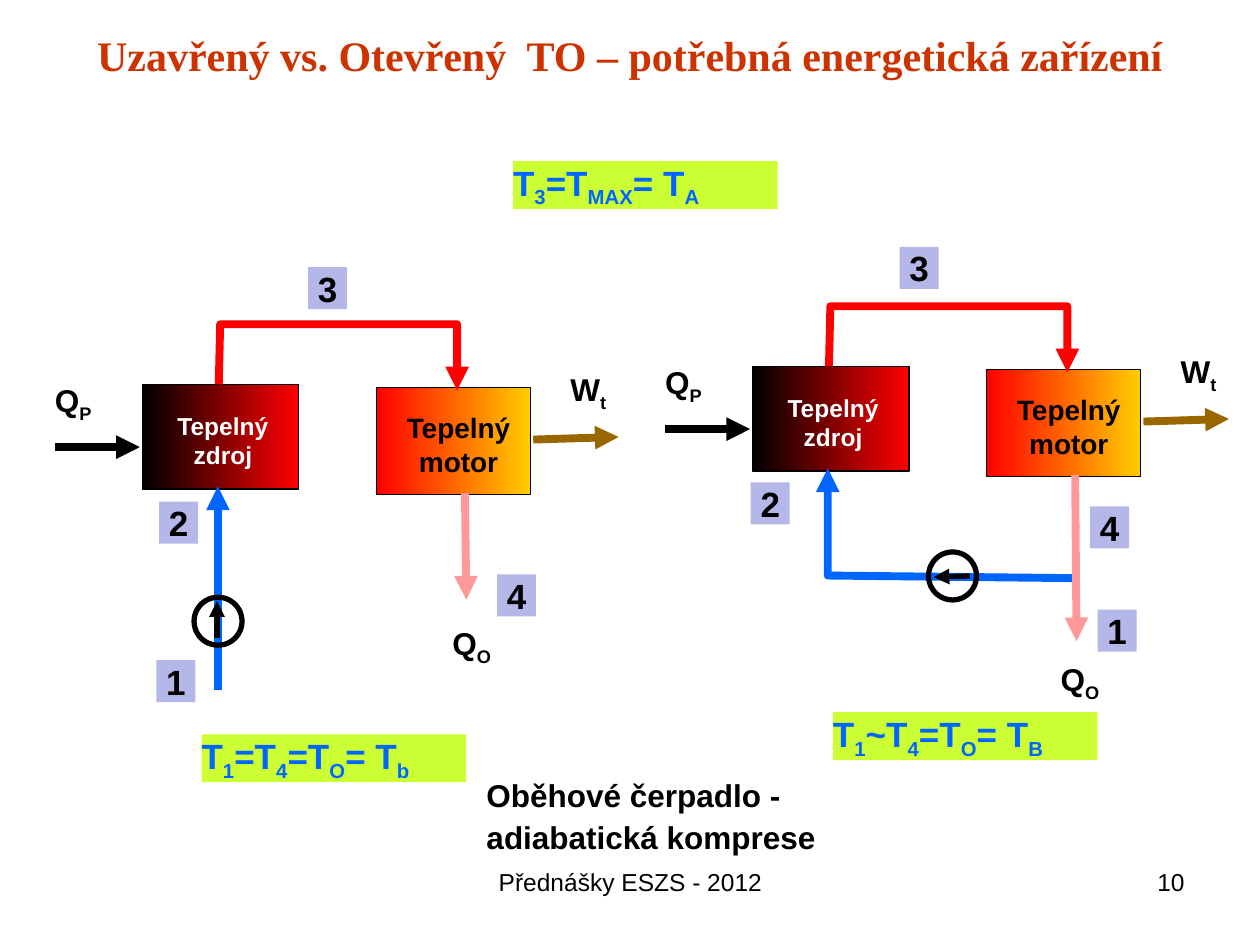
from lxml import etree
from pptx import Presentation
from pptx.dml.color import RGBColor
from pptx.enum.shapes import MSO_CONNECTOR, MSO_SHAPE
from pptx.enum.text import MSO_ANCHOR, PP_ALIGN
from pptx.oxml.ns import qn
from pptx.util import Pt

LEFT, CENTER, RIGHT = PP_ALIGN.LEFT, PP_ALIGN.CENTER, PP_ALIGN.RIGHT
TOP, MIDDLE = MSO_ANCHOR.TOP, MSO_ANCHOR.MIDDLE
RECT, OVAL = MSO_SHAPE.RECTANGLE, MSO_SHAPE.OVAL
STRAIGHT = MSO_CONNECTOR.STRAIGHT

COLORS = {
    "title": "CC3300", "black": "000000", "white": "FFFFFF", "red": "FF0000",
    "yellow": "FFCC00", "blue": "0066FF", "pink": "FF9999", "brown": "996600",
    "lime": "CCFF33", "lilac": "B5B7E9",
}
TEXT_INSETS = (7.2, 3.6)


def rgb(name):
    return RGBColor.from_string(COLORS[name])


def write(sp, lines, size, color="black", bold=True, align=LEFT, anchor=TOP,
          insets=(0, 0), wrap=True, font="Arial", space_before=0):
    """Fill a shape with lines; in each, '_' switches subscript on and off."""
    tf = sp.text_frame
    tf.word_wrap = wrap
    tf.vertical_anchor = anchor
    tf.margin_left = tf.margin_right = Pt(insets[0])
    tf.margin_top = tf.margin_bottom = Pt(insets[1])
    for i, line in enumerate(lines):
        p = tf.add_paragraph() if i else tf.paragraphs[0]
        p.alignment = align
        p.space_before = Pt(space_before if i else 0)
        p.font.name, p.font.size, p.font.bold = font, Pt(size), bold
        p.font.color.rgb = rgb(color)
        for j, part in enumerate(line.split("_")):
            if part:
                r = p.add_run()
                r.text = part
                if j % 2:
                    r._r.get_or_add_rPr().set("baseline", "-25000")


def add_text(slide, x, y, w, h, lines, size, **style):
    sp = slide.shapes.add_textbox(Pt(x), Pt(y), Pt(w), Pt(h))
    write(sp, lines, size, **style)


def add_box(slide, x, y, w, h, fill=None, line=None, width=0.75, kind=RECT):
    sp = slide.shapes.add_shape(kind, Pt(x), Pt(y), Pt(w), Pt(h))
    sp.shadow.inherit = False
    if fill is None:
        sp.fill.background()
    elif isinstance(fill, tuple):
        sp.fill.gradient()
        sp.fill.gradient_angle = 0
        for stop, color in zip(sp.fill.gradient_stops, fill):
            stop.color.rgb = rgb(color)
    else:
        sp.fill.solid()
        sp.fill.fore_color.rgb = rgb(fill)
    if line:
        sp.line.color.rgb = rgb(line)
        sp.line.width = Pt(width)
    else:
        sp.line.fill.background()
    return sp


def add_arrow(slide, points, color, width=4.5):
    """Arrow through the points: a connector for two, an open outline for more."""
    pts = [(Pt(x), Pt(y)) for x, y in points]
    if len(pts) == 2:
        sp = slide.shapes.add_connector(STRAIGHT, *pts[0], *pts[1])
    else:
        builder = slide.shapes.build_freeform(*pts[0], scale=1.0)
        builder.add_line_segments(pts[1:], close=False)
        sp = builder.convert_to_shape()
        sp.fill.background()
    sp.line.color.rgb = rgb(color)
    sp.line.width = Pt(width)
    ln = sp.line._get_or_add_ln()
    etree.SubElement(ln, qn("a:round"))
    etree.SubElement(ln, qn("a:tailEnd"), type="triangle")
    etree.SubElement(sp._element.spPr, qn("a:effectLst"))


def add_formula(slide, x, y, formula):
    sp = add_box(slide, x, y, 151.2, 27.4, "lime")
    write(sp, [formula], 20, color="blue")


def add_pump(slide, x, y, flow):
    add_box(slide, x, y, 27.4, 27.4, line="black", width=3, kind=OVAL)
    add_arrow(slide, flow, "black", 3)


def add_circuit(slide, x, y, feed, outlet_end, heat_out, states, pump, flow):
    """Heat source and engine; every place is relative to the source's corner."""
    def at(*points):
        return [(x + dx, y + dy) for dx, dy in points]

    add_arrow(slide, at((223.2, 31.5), (272, 30)), "brown")
    add_arrow(slide, at((-50, 35.8), (-1.6, 35.8)), "black")
    add_box(slide, x, y, 89.3, 59.8, ("black", "red"), "black")
    add_text(slide, x + 18.5, y + 15, 54.7, 33.8, ["Tepelný", "zdroj"], 14,
             color="white", align=CENTER)
    add_box(slide, x + 133.7, y + 1.8, 87.8, 61.2, ("red", "yellow"), "black")
    add_text(slide, x + 150.3, y + 15, 60.5, 38.2, ["Tepelný", "motor"], 16,
             align=CENTER, wrap=False)
    add_arrow(slide, at(*feed), "blue")
    add_arrow(slide, at((43.5, 0), (44.3, -34.4), (179.7, -34.4), (179.7, 3.4)),
              "red")
    add_arrow(slide, at((184.2, 62), outlet_end), "pink")

    labels = [("Q_P_", (-57.2, -5.5), 46.8), ("Q_O_", heat_out, 40),
              ("W_t_", (237.4, -11.8), 40)]
    for label, (dx, dy), w in labels:
        add_text(slide, x + dx, y + dy, w, 31.7, [label], 18, insets=TEXT_INSETS)
    for number, (dx, dy) in enumerate(states, start=1):
        sp = add_box(slide, x + dx, y + dy, 22.3, 24, "lilac")
        write(sp, [str(number)], 20, align=CENTER)
    add_pump(slide, x + pump[0], y + pump[1], at(*flow))


def add_title(slide, x, y, w, h, text):
    sp = slide.shapes.title
    sp.left, sp.top, sp.width, sp.height = Pt(x), Pt(y), Pt(w), Pt(h)
    write(sp, [text], 24, color="title", align=CENTER, anchor=MIDDLE,
          insets=TEXT_INSETS, font="Times New Roman")


def add_footer(slide, y, h):
    for x, w, text, align in [(246.2, 228.2, "Přednášky ESZS - 2012", CENTER),
                              (516.2, 167.8, "10", RIGHT)]:
        add_text(slide, x, y, w, h, [text], 14, bold=False, align=align,
                 insets=TEXT_INSETS)


def main():
    prs = Presentation()
    prs.slide_width, prs.slide_height = Pt(720), Pt(540)
    slide = prs.slides.add_slide(prs.slide_layouts[5])

    add_title(slide, 36, 12.2, 648, 38.2,
              "Uzavřený vs. Otevřený  TO – potřebná energetická zařízení")
    add_circuit(slide, 81.5, 219.7,
                feed=[(43, 174.7), (43, 58.3)],
                outlet_end=(185, 123), heat_out=(169.9, 133.2),
                states=[(7.8, 157.5), (9.4, 67), (94.5, -67), (202.5, 108.5)],
                pump=(29.4, 121.6), flow=[(42.5, 144.7), (42.5, 123.8)])
    add_circuit(slide, 430.2, 209.4,
                feed=[(184.5, 121), (42.8, 119.5), (42.8, 58.3)],
                outlet_end=(185, 157), heat_out=(168.8, 164.2),
                states=[(197, 139), (-1.2, 66.2), (83.8, -68.3), (192.7, 80)],
                pump=(100.4, 106), flow=[(124, 119.7), (103.3, 120.4)])

    add_formula(slide, 293.2, 92, "T_3_=T_MAX_= T_A_")
    add_formula(slide, 115.2, 419.6, "T_1_=T_4_=T_O_= T_b_")
    add_formula(slide, 476, 407, "T_1_~T_4_=T_O_= T_B_")
    add_text(slide, 278, 443.5, 219.6, 45.4,
             ["Oběhové čerpadlo -", "adiabatická komprese"], 18, space_before=2.2)
    add_footer(slide, 491.8, 37.4)
    prs.save("out.pptx")


if __name__ == "__main__":
    main()
